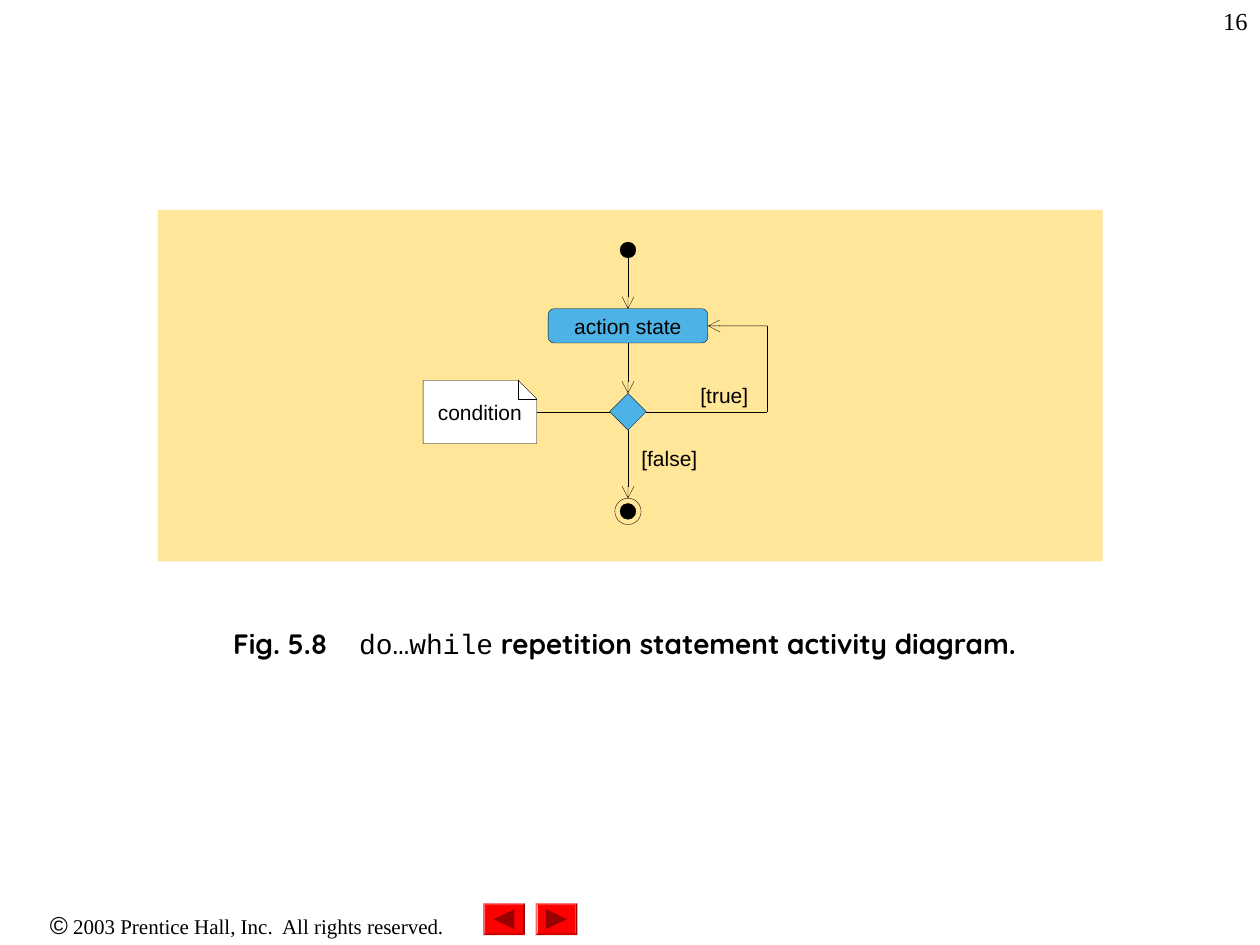
from lxml.etree import SubElement
from pptx import Presentation
from pptx.dml.color import RGBColor
from pptx.enum.dml import MSO_LINE
from pptx.enum.shapes import MSO_CONNECTOR, MSO_SHAPE
from pptx.enum.text import MSO_ANCHOR, PP_ALIGN
from pptx.oxml.ns import qn
from pptx.util import Cm, Pt

THEME = {
    "ink": "000000", "panel": "FFE699", "state": "4DB3E6", "note": "FFFFFF",
    "button": "FF0000", "button_mark": "990000", "line": 0.2,
    "label": 12, "small": 12, "number": 14, "caption": 16,
    "sans": "Arial", "serif": "Times New Roman", "code": "Courier New", "title": "Quicksand",
}

AXIS = 12.66
START_Y, ACTION_Y, DECISION_Y, END_Y = 5.04, 6.57, 8.3, 10.31
DOT, RING, DIAMOND = 0.32, 0.53, 0.74
ACTION_SIZE = (3.22, 0.69)
LOOP_X = 15.47
NOTE = (8.53, 7.67, 2.29, 1.27)
FOLD = 0.37
PANEL = (3.18, 4.23, 19.05, 7.09)
BUTTONS = [(9.74, -90), (10.8, 90)]
BUTTON_TOP, BUTTON_SIZE, MARK_SIZE = 18.21, (0.84, 0.64), (0.4, 0.42)

LABELS = [("[true]", (14.12, 7.82, 1.12, 0.41)), ("[false]", (12.93, 9.09, 1.52, 0.41))]
CAPTION = [
    ("Fig. 5.8\t", "title", "caption", True),
    ("do…while", "code", "caption", False),
    (" repetition statement activity diagram.", "title", "caption", True),
]
FOOTER = [
    ("©", "sans", "number", False),
    (" 2003 Prentice Hall, Inc.  All rights reserved.", "serif", "small", False),
]
PAGE_NUMBER = [("16", "serif", "number", False)]


def color(name):
    return RGBColor.from_string(THEME[name])


def centered(x, y, width, height):
    return x - width / 2, y - height / 2, width, height


def style(shape, fill=None, line=None):
    shape.shadow.inherit = False
    if fill:
        shape.fill.solid()
        shape.fill.fore_color.rgb = color(fill)
    else:
        shape.fill.background()
    if line:
        shape.line.color.rgb = color(line)
        shape.line.width = Pt(THEME["line"])
    else:
        shape.line.fill.background()
    return shape


def add_box(page, kind, place, fill=None, line=None):
    return style(page.shapes.add_shape(kind, *map(Cm, place)), fill, line)


def add_outline(page, points, closed, fill=None):
    corners = [(Cm(x), Cm(y)) for x, y in points]
    builder = page.shapes.build_freeform(*corners[0])
    builder.add_line_segments(corners[1:], close=closed)
    return style(builder.convert_to_shape(), fill, "ink")


def write(box, spans, align=PP_ALIGN.LEFT, margins=(0, 0), spacing=None, tab=None):
    frame = box.text_frame
    frame.word_wrap = True
    frame.margin_left = frame.margin_right = Cm(margins[0])
    frame.margin_top = frame.margin_bottom = Cm(margins[1])
    para = frame.paragraphs[0]
    para.alignment = align
    if spacing:
        para.line_spacing = spacing
    if tab:
        tabs = SubElement(para._p.get_or_add_pPr(), qn("a:tabLst"))
        SubElement(tabs, qn("a:tab"), pos=str(Cm(tab)), algn="l")
    for text, face, size, bold in spans:
        span = para.add_run()
        span.text = text
        span.font.name = THEME[face]
        span.font.size = Pt(THEME[size])
        span.font.bold = bold
        span.font.color.rgb = color("ink")


def add_text(page, place, spans, **layout):
    write(page.shapes.add_textbox(*map(Cm, place)), spans, **layout)


def label_in(box, text):
    box.text_frame.vertical_anchor = MSO_ANCHOR.MIDDLE
    write(box, [(text, "sans", "label", False)], align=PP_ALIGN.CENTER)


def add_link(page, start, end, begin=None, finish=None, arrow=False, dash=None):
    link = page.shapes.add_connector(MSO_CONNECTOR.STRAIGHT, *map(Cm, start + end))
    if begin:
        link.begin_connect(*begin)
    if finish:
        link.end_connect(*finish)
    link.line.color.rgb = color("ink")
    link.line.width = Pt(THEME["line"])
    if dash:
        link.line.dash_style = dash
    if arrow:
        SubElement(link.line._get_or_add_ln(), qn("a:tailEnd"), type="arrow")
    SubElement(link._element.spPr, qn("a:effectLst"))


def add_diagram(page):
    add_box(page, MSO_SHAPE.RECTANGLE, PANEL, "panel")
    add_box(page, MSO_SHAPE.OVAL, centered(AXIS, START_Y, DOT, DOT), "ink", "ink")
    add_box(page, MSO_SHAPE.OVAL, centered(AXIS, END_Y, DOT, DOT), "ink", "ink")
    add_box(page, MSO_SHAPE.OVAL, centered(AXIS, END_Y, RING, RING), line="ink")
    action = add_box(page, MSO_SHAPE.ROUNDED_RECTANGLE,
                     centered(AXIS, ACTION_Y, *ACTION_SIZE), "state", "ink")
    action.adjustments[0] = 0.17
    label_in(action, "action state")
    decision = add_box(page, MSO_SHAPE.DIAMOND,
                       centered(AXIS, DECISION_Y, DIAMOND, DIAMOND), "state", "ink")

    left, top, width, height = NOTE
    right, bottom = left + width, top + height
    crease, tip = (right - FOLD, top), (right, top + FOLD)
    note = add_outline(page, [crease, tip, (right, bottom), (left, bottom), (left, top)],
                       True, "note")
    add_outline(page, [tip, (right - FOLD, top + FOLD), crease], False)
    label_in(note, "condition")

    action_mid, decision_mid = (AXIS, ACTION_Y), (AXIS, DECISION_Y)
    loop_low, loop_high = (LOOP_X, DECISION_Y), (LOOP_X, ACTION_Y)
    add_link(page, (AXIS, START_Y + DOT / 2), action_mid, finish=(action, 0), arrow=True)
    add_link(page, action_mid, decision_mid, (action, 2), (decision, 0), arrow=True)
    add_link(page, decision_mid, (AXIS, END_Y - RING / 2), begin=(decision, 2), arrow=True)
    add_link(page, decision_mid, loop_low, begin=(decision, 3))
    add_link(page, loop_low, loop_high)
    add_link(page, loop_high, action_mid, finish=(action, 3), arrow=True)
    add_link(page, (right, DECISION_Y), decision_mid, finish=(decision, 1),
             dash=MSO_LINE.ROUND_DOT)
    for text, place in LABELS:
        add_text(page, place, [(text, "sans", "label", False)], spacing=0.8)


def add_buttons(page):
    width, height = BUTTON_SIZE
    for left, turn in BUTTONS:
        button = add_box(page, MSO_SHAPE.BEVEL, (left, BUTTON_TOP, width, height), "button")
        button.adjustments[0] = 0.06
        middle = (left + width / 2, BUTTON_TOP + height / 2)
        mark = add_box(page, MSO_SHAPE.ISOSCELES_TRIANGLE,
                       centered(*middle, *MARK_SIZE), "button_mark")
        mark.rotation = turn


def main():
    deck = Presentation()
    deck.slide_width, deck.slide_height = Cm(25.4), Cm(19.05)
    page = deck.slides.add_slide(deck.slide_layouts[6])
    inset = (0.25, 0.13)
    add_text(page, (0, 18.21, 9.96, 0.86), FOOTER, align=PP_ALIGN.CENTER, margins=inset)
    add_buttons(page)
    add_text(page, (4.45, 12.5, 16.31, 0.94), CAPTION, margins=inset, tab=2.54)
    add_diagram(page)
    add_text(page, (20.12, 0, 5.28, 1.27), PAGE_NUMBER, align=PP_ALIGN.RIGHT, margins=inset)
    deck.save("out.pptx")


if __name__ == "__main__":
    main()
